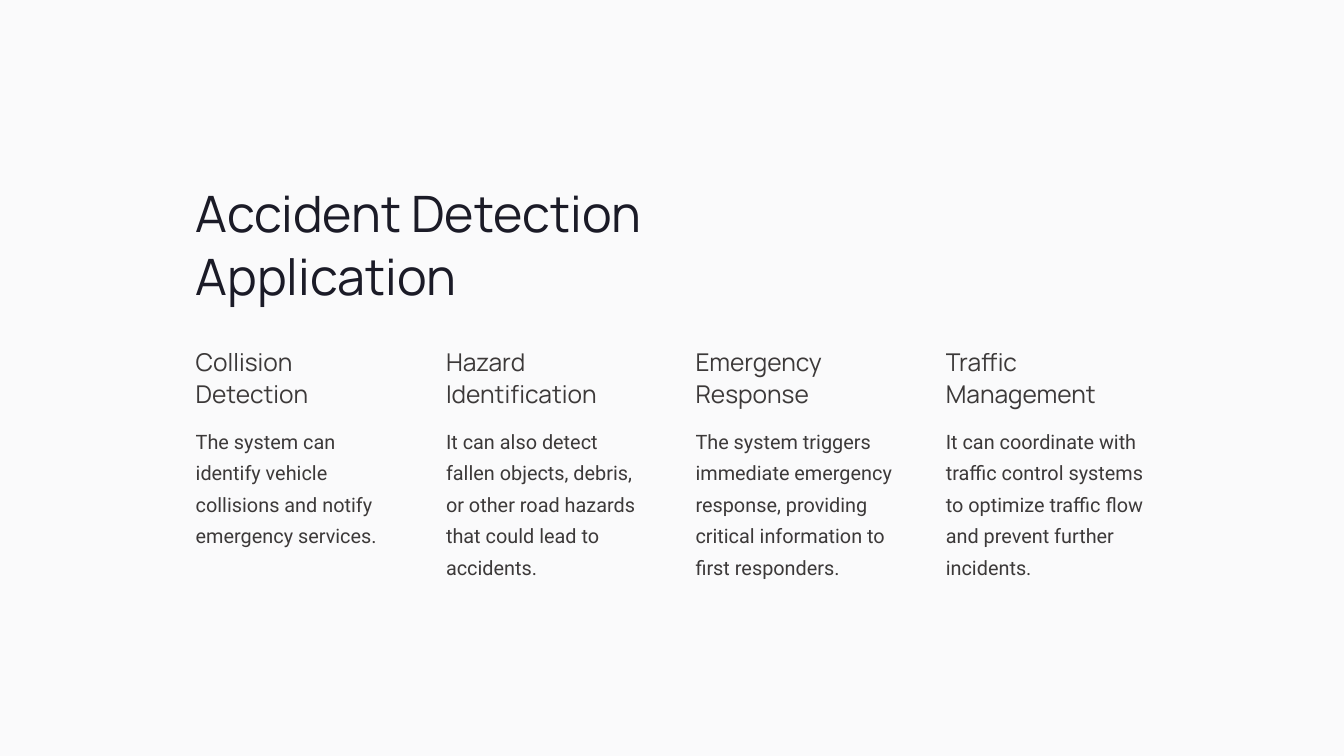
from dataclasses import dataclass

from lxml import etree
from pptx import Presentation, util as u
from pptx.dml.color import RGBColor
from pptx.enum import shapes, text
from pptx.oxml.ns import qn
from pptx.text.text import TextFrame

PX_PER_INCH = 100
SLIDE_WIDTH, SLIDE_HEIGHT = 1600, 900
INK, GREY, LAVENDER, WHITE = "1B1B27", "3C3939", "ECECF3", "FFFFFF"
INSET = 5
FIRST_LEFT, LAST_LEFT, COLUMN_WIDTH = 228, 1121, 251
HEADING_TOP, HEADING_HEIGHT = 406, 84
DETAIL_TOP = 497


@dataclass(frozen=True)
class Layer:
    color: str
    opacity: int


@dataclass(frozen=True)
class TextStyle:
    font: str
    size: int
    leading: int
    color: str


@dataclass(frozen=True)
class Feature:
    heading: str
    detail: str
    detail_height: int


BACKDROP = [Layer(LAVENDER, 100), Layer(WHITE, 75)]

TITLE = TextStyle("Manrope", 43, 54, INK)
HEADING = TextStyle("Manrope", 21, 27, GREY)
DETAIL = TextStyle("Roboto", 17, 27, GREY)

FEATURES = [
    Feature("Collision Detection",
            "The system can identify vehicle collisions and notify "
            "emergency services.", 158),
    Feature("Hazard Identification",
            "It can also detect fallen objects, debris, or other road hazards "
            "that could lead to accidents.", 195),
    Feature("Emergency Response",
            "The system triggers immediate emergency response, providing "
            "critical information to first responders.", 195),
    Feature("Traffic Management",
            "It can coordinate with traffic control systems to optimize "
            "traffic flow and prevent further incidents.", 195),
]


def px(length: int) -> u.Emu:
    return u.Emu(length * u.Inches(1) // PX_PER_INCH)


def rgb(color: str) -> RGBColor:
    return RGBColor.from_string(color)


def add_layer(slide, layer: Layer) -> None:
    """Cover the whole slide with one colour, see-through below 100."""
    sheet = slide.shapes.add_shape(
        shapes.MSO_SHAPE.RECTANGLE, 0, 0, px(SLIDE_WIDTH), px(SLIDE_HEIGHT))
    sheet.shadow.inherit = False
    sheet.line.fill.background()
    sheet.fill.solid()
    sheet.fill.fore_color.rgb = rgb(layer.color)
    if layer.opacity < 100:
        color = sheet.fill._xPr.find(qn("a:solidFill"))[0]
        etree.SubElement(color, qn("a:alpha"), val=str(layer.opacity * 1000))


def write(frame: TextFrame, words: str, style: TextStyle) -> None:
    frame.word_wrap = True
    frame.auto_size = text.MSO_AUTO_SIZE.NONE
    frame.vertical_anchor = text.MSO_ANCHOR.TOP
    frame.margin_left = frame.margin_right = px(INSET)
    frame.margin_top = frame.margin_bottom = px(INSET)
    paragraph = frame.paragraphs[0]
    paragraph.text = words
    paragraph.alignment = text.PP_ALIGN.LEFT
    paragraph.line_spacing = u.Pt(style.leading)
    paragraph.space_before = u.Pt(0)
    paragraph.font.name = style.font
    paragraph.font.size = u.Pt(style.size)
    paragraph.font.color.rgb = rgb(style.color)


def add_title(slide, words: str) -> None:
    title = slide.shapes.title
    title.left, title.top = px(FIRST_LEFT), px(209)
    title.width, title.height = px(815), px(160)
    write(title.text_frame, words, TITLE)
    # The placeholder comes first in the stack; lift it above the backdrop.
    slide.shapes._spTree.append(title._element)


def add_feature(slide, feature: Feature, left: int) -> None:
    for words, style, top, height in (
        (feature.heading, HEADING, HEADING_TOP, HEADING_HEIGHT),
        (feature.detail, DETAIL, DETAIL_TOP, feature.detail_height),
    ):
        box = slide.shapes.add_textbox(
            px(left), px(top), px(COLUMN_WIDTH), px(height))
        write(box.text_frame, words, style)


def main() -> None:
    deck = Presentation()
    deck.slide_width, deck.slide_height = px(SLIDE_WIDTH), px(SLIDE_HEIGHT)
    slide = deck.slides.add_slide(deck.slide_layouts.get_by_name("Title Only"))

    for layer in BACKDROP:
        add_layer(slide, layer)
    add_title(slide, "Accident Detection Application")

    column_step = (LAST_LEFT - FIRST_LEFT) / (len(FEATURES) - 1)
    for column, feature in enumerate(FEATURES):
        add_feature(slide, feature, FIRST_LEFT + round(column * column_step))
    deck.save("out.pptx")


if __name__ == "__main__":
    main()
